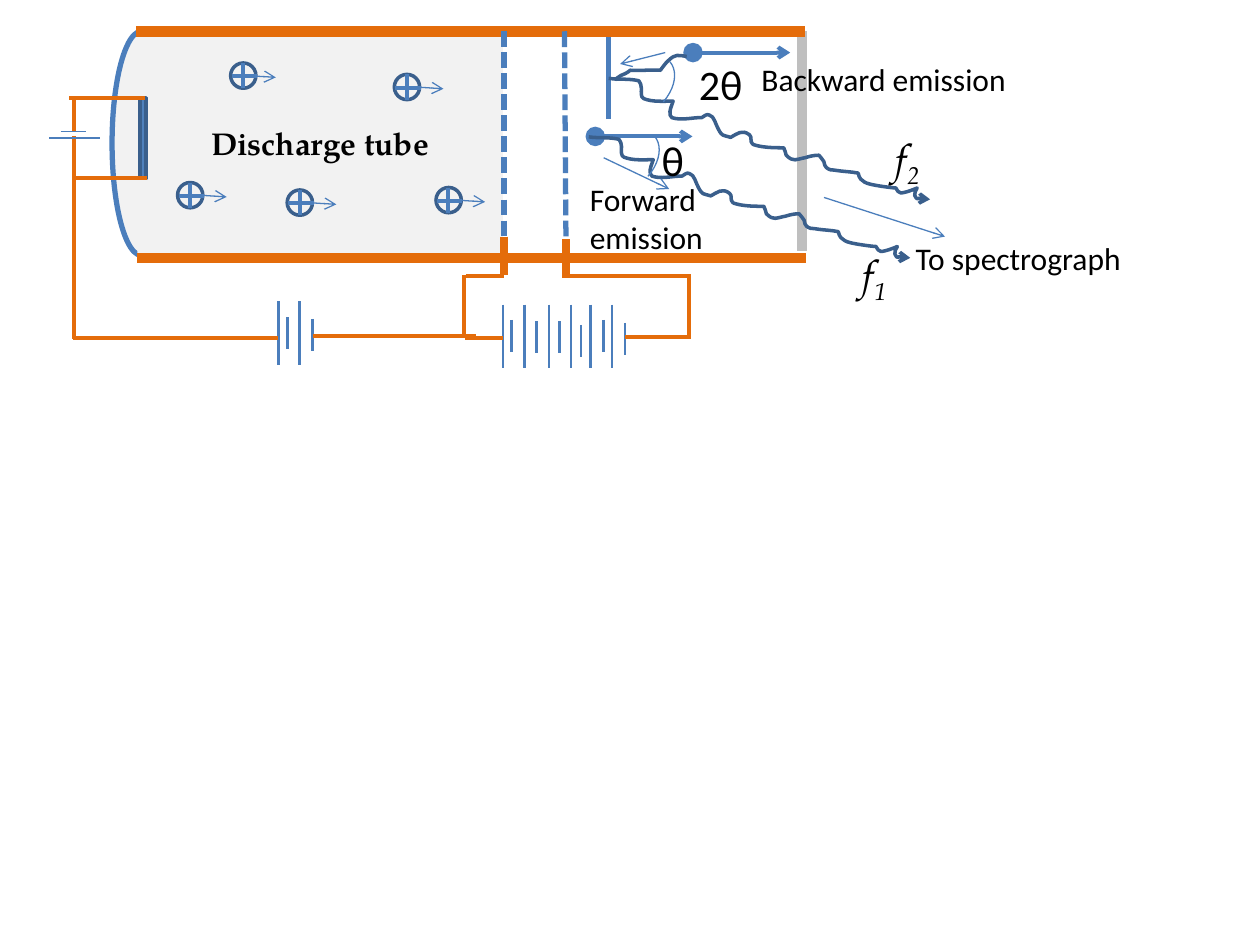
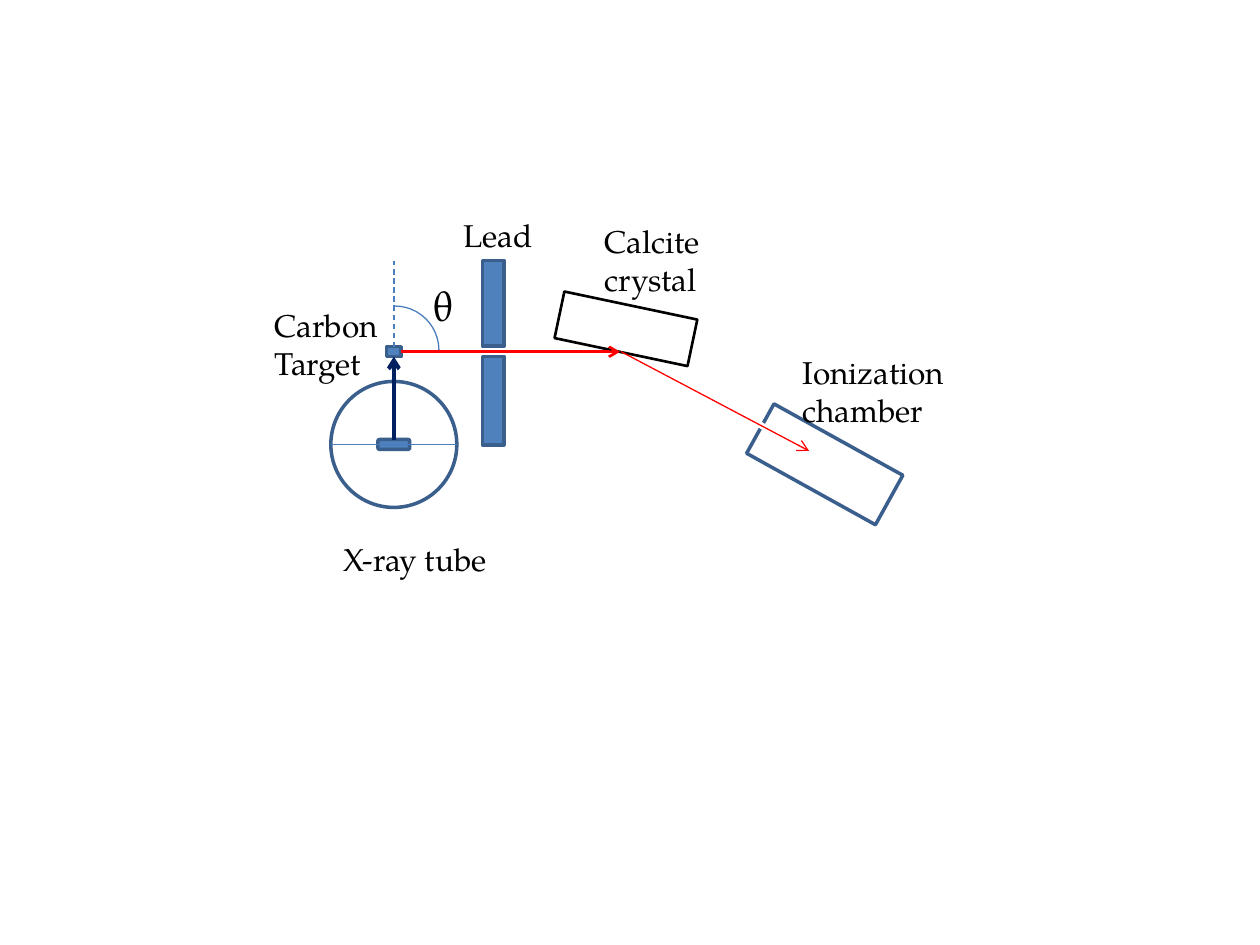
from dataclasses import dataclass
from typing import Any

from lxml.etree import SubElement
from pptx import Presentation
from pptx.dml.color import RGBColor
from pptx.enum.dml import MSO_LINE
from pptx.enum.shapes import MSO_CONNECTOR, MSO_SHAPE
from pptx.enum.text import MSO_ANCHOR, MSO_AUTO_SIZE, PP_ALIGN
from pptx.oxml.ns import qn
from pptx.util import Cm, Pt

BLUE = "4B7EBC"
FILL_BLUE = "4F81BD"
DARK_BLUE = "3A5F8C"
NAVY = "002060"
ORANGE = "E46C0A"
RED = "FF0000"
BLACK = "000000"
WHITE = "FFFFFF"
GAS_GREY = "F2F2F2"
WINDOW_GREY = "BFBFBF"
SANS = "Calibri"
SERIF = "TeX Gyre Pagella"

# Bezier points in cm from the start: two controls and an end for each segment
LONG_WAVE = [
    (0.2, 0.03), (0.41, 0), (0.61, 0.05), (0.66, 0.08), (0.64, 0.15), (0.66, 0.2),
    (0.66, 0.28), (0.64, 0.38), (0.71, 0.41), (0.89, 0.48), (1.09, 0.46), (1.3, 0.46),
    (1.27, 0.56), (1.22, 0.64), (1.24, 0.74), (1.24, 0.79), (1.3, 0.81), (1.35, 0.81),
    (1.52, 0.84), (1.7, 0.79), (1.88, 0.79), (1.93, 0.76), (1.98, 0.71), (2.03, 0.74),
    (2.13, 0.76), (2.16, 0.94), (2.21, 1.02), (2.29, 1.17), (2.29, 1.14), (2.46, 1.19),
    (2.59, 1.12), (2.69, 1.02), (2.84, 1.14), (2.9, 1.19), (2.84, 1.27), (2.9, 1.32),
    (2.92, 1.35), (3, 1.35), (3.05, 1.37), (3.23, 1.4), (3.38, 1.4), (3.53, 1.4),
    (3.56, 1.45), (3.56, 1.5), (3.58, 1.55), (3.73, 1.7), (3.78, 1.63), (3.96, 1.6),
    (4.06, 1.57), (4.14, 1.55), (4.24, 1.55), (4.27, 1.6), (4.32, 1.63), (4.34, 1.68),
    (4.37, 1.73), (4.34, 1.78), (4.39, 1.8), (4.45, 1.85), (4.5, 1.85), (4.55, 1.85),
    (4.72, 1.88), (4.88, 1.88), (5.03, 1.91), (5.05, 1.96), (5.05, 2.01), (5.08, 2.03),
    (5.13, 2.08), (5.18, 2.11), (5.26, 2.13), (5.36, 2.16), (5.72, 2.21), (5.79, 2.21),
    (5.82, 2.26), (5.84, 2.31), (5.89, 2.31), (5.99, 2.31), (6.22, 2.21), (6.22, 2.21),
    (6.2, 2.26), (6.15, 2.31), (6.17, 2.36), (6.22, 2.46), (6.38, 2.44), (6.48, 2.44),
]
SHORT_WAVE = [
    (-0.16, -0.08), (-0.2, -0.12), (-0.37, -0.04), (-0.45, -0.01), (-0.59, 0.1), (-0.59, 0.1),
    (-0.88, 0), (-0.74, 0.05), (-1.06, -0.05), (-1.1, -0.06), (-1.13, -0.08), (-1.17, -0.09),
    (-1.23, -0.06), (-1.32, -0.05), (-1.37, -0.05), (-1.55, 0), (-1.52, -0.01), (-1.47, 0),
]


def rgb(colour):
    return RGBColor.from_string(colour)


def set_line(shape, colour, width, dash=None, head=None, tail=None):
    shape.line.color.rgb = rgb(colour)
    shape.line.width = Pt(width)
    if dash:
        shape.line.dash_style = dash
    outline = shape._element.spPr.find(qn("a:ln"))
    if head:
        SubElement(outline, qn("a:headEnd"), type=head, w="lg", len="lg")
    if tail:
        SubElement(outline, qn("a:tailEnd"), type=tail)


def curve_segments(freeform):
    """Turn each three straight segments of the outline into one Bezier curve."""
    outline = next(freeform._element.iter(qn("a:path")))
    segments = outline.findall(qn("a:lnTo"))
    for index in range(0, len(segments), 3):
        curve = SubElement(outline, qn("a:cubicBezTo"))
        for segment in segments[index:index + 3]:
            curve.append(segment[0])
            outline.remove(segment)


@dataclass
class Region:
    """A part of a slide; its methods take cm from its top left corner."""
    shapes: Any
    left: float
    top: float

    def at(self, x, y):
        return Cm(self.left + x), Cm(self.top + y)

    def group(self, x, y):
        return Region(self.shapes.add_group_shape().shapes, self.left + x, self.top + y)

    def line(self, x1, y1, x2, y2, colour=BLUE, width=0.75, begin=None, end=None, **style):
        connector = self.shapes.add_connector(
            MSO_CONNECTOR.STRAIGHT, *self.at(x1, y1), *self.at(x2, y2))
        if begin:
            connector.begin_connect(*begin)
        if end:
            connector.end_connect(*end)
        set_line(connector, colour, width, **style)
        SubElement(connector._element.spPr, qn("a:effectLst"))

    def shape(self, kind, x, y, width, height, fill=None, colour=DARK_BLUE, line_width=2,
              rotation=0, adjustments=()):
        shape = self.shapes.add_shape(kind, *self.at(x, y), Cm(width), Cm(height))
        shape.shadow.inherit = False
        shape.rotation = rotation
        for index, value in enumerate(adjustments):
            shape.adjustments[index] = value
        if fill:
            shape.fill.solid()
            shape.fill.fore_color.rgb = rgb(fill)
        else:
            shape.fill.background()
        if colour:
            set_line(shape, colour, line_width)
        else:
            shape.line.fill.background()
        return shape

    def wave(self, x, y, points, rotation=0, **style):
        builder = self.shapes.build_freeform(*self.at(x, y))
        builder.add_line_segments([self.at(x + dx, y + dy) for dx, dy in points], close=False)
        shape = builder.convert_to_shape()
        curve_segments(shape)
        shape.rotation = rotation
        shape.shadow.inherit = False
        shape.fill.background()
        set_line(shape, DARK_BLUE, 2, **style)

    def text(self, text, x, y, width, height=1.02, wrap=False, subscript=None, **style):
        box = self.shapes.add_textbox(*self.at(x, y), Cm(width), Cm(height))
        frame = box.text_frame
        frame.word_wrap = wrap
        frame.auto_size = MSO_AUTO_SIZE.SHAPE_TO_FIT_TEXT
        for index, content in enumerate(text.split("\n")):
            paragraph = frame.paragraphs[0] if index == 0 else frame.add_paragraph()
            add_run(paragraph, content, **style)
        if subscript:
            run = add_run(paragraph, subscript, **style)
            run.font._element.set("baseline", "-25000")


def add_run(paragraph, text, size=18, font=SANS, bold=None, italic=None):
    run = paragraph.add_run()
    run.text = text
    run.font.size = Pt(size)
    run.font.name = font
    run.font.bold = bold
    run.font.italic = italic
    run.font.color.rgb = rgb(BLACK)
    return run


def ion(tube, x, y, arrow_start=0.51):
    symbol = tube.group(x, y)
    symbol.shape(MSO_SHAPE.OVAL, 0, 0, 0.51, 0.51)
    symbol.line(0.25, 0, 0.25, 0.51, width=2.25)
    symbol.line(0.02, 0.27, 0.53, 0.27, width=2.25)
    tube.line(x + arrow_start, y + 0.26, x + arrow_start + 0.48, y + 0.29, tail="arrow")


def discharge_tube(shapes, left, top):
    tube = Region(shapes, left, top)
    end_cap = tube.shape(MSO_SHAPE.ARC, -0.51, 0, 1.19, 4.52, GAS_GREY, BLUE, 3,
                         adjustments=(162, 57.07))
    end_cap._element.spPr.find(qn("a:xfrm")).set("flipH", "1")
    tube.line(13.4, 0, 13.4, 4.42, WINDOW_GREY, 6)
    gas = tube.shape(MSO_SHAPE.RECTANGLE, 0, 0, 7.37, 4.52, GAS_GREY, None)
    gas.text_frame.vertical_anchor = MSO_ANCHOR.MIDDLE
    paragraph = gas.text_frame.paragraphs[0]
    paragraph.alignment = PP_ALIGN.CENTER
    add_run(paragraph, "Discharge tube", font=SERIF, bold=True)
    tube.line(9.5, 1.77, 9.5, 0, width=3)
    tube.line(13.47, 4.57, 0, 4.57, ORANGE, 6)
    tube.line(13.46, 0, -0.02, 0, ORANGE, 6)
    for grid_top, grid_bottom, length, terminal_top in (
            (7.39, 7.39, 4.57, 4.14), (8.61, 8.64, 4.34, 4.19)):
        tube.line(grid_top, 0, grid_bottom, length, width=3, dash=MSO_LINE.SQUARE_DOT)
        tube.line(grid_bottom, terminal_top, grid_bottom, terminal_top + 0.78, ORANGE, 4.5)
    for x, y in ((0.81, 3.05), (6.02, 3.15), (5.18, 0.87), (3.02, 3.2)):
        ion(tube, x, y)
    ion(tube, 1.88, 0.64, arrow_start=0.43)


def wires(region, ends):
    for x1, y1, x2, y2 in ends:
        region.line(x1, y1, x2, y2, ORANGE, 2.25)


def cathode_heater(shapes, left, top):
    heater = Region(shapes, left, top)
    heater.shape(MSO_SHAPE.RECTANGLE, 1.83, 0, 0.13, 1.63, FILL_BLUE)
    wires(heater, [(1.93, 0, 0.41, 0), (1.98, 1.62, 0.46, 1.62),
                   (0.51, 0.05, 0.51, 0.68), (0.51, 0.78, 0.51, 1.55)])
    heater.line(0, 0.81, 1.02, 0.81)
    heater.line(0.23, 0.68, 0.74, 0.68)


def battery(circuit, long_plates, long_top, short_plates):
    for x in long_plates:
        circuit.line(x, long_top, x, long_top + 1.28, width=1.5)
    for x, y in short_plates:
        circuit.line(x, y, x, y + 0.64, width=1.5)


def accelerating_circuit(shapes, left, top):
    circuit = Region(shapes, left, top)
    battery(circuit, (4.14, 4.57), 0.53, ((4.32, 0.86), (4.83, 0.89)))
    battery(circuit, (8.67, 9.1, 9.6, 10.04, 10.44, 10.87), 0.6,
            ((8.84, 0.91), (9.35, 0.94), (9.81, 0.94), (10.24, 1.01), (10.7, 0.91), (11.13, 0.97)))
    wires(circuit, [
        (0.03, 1.29, 0.03, -2.01), (0, 1.27, 4.14, 1.27), (4.83, 1.24, 8.13, 1.24),
        (7.9, 1.27, 8.66, 1.27), (7.89, 0, 7.89, 1.27), (7.93, 0.02, 8.69, 0.02),
        (12.45, 0.02, 9.91, 0.02), (12.42, 0, 12.42, 1.27), (11.13, 1.26, 12.45, 1.26),
    ])


def emission(shapes, left, top, wave, arc, direction, angle, angle_at, caption, caption_box,
             subscript, frequency_at):
    """Draw a moving emitter, its wave and its labels, placed from the emitter."""
    emitter = Region(shapes, left, top)
    emitter.line(0, 0, 1.96, 0, width=2.25, head="oval", tail="arrow")
    emitter.wave(*wave, LONG_WAVE, tail="arrow")
    emitter.shape(MSO_SHAPE.ARC, *arc, 1.09, 1.63, None, BLUE, 0.75, 49.7, (162, 204.16))
    emitter.line(*direction, tail="arrow")
    emitter.text(angle, *angle_at, 0.55 + 0.42 * len(angle), 1.27, size=24)
    emitter.text(caption, *caption_box)
    emitter.text("f", *frequency_at, 1.04, 1.27, subscript=subscript, size=24, font=SERIF,
                 italic=True)
    return emitter


def spectrograph(shapes, left, top):
    exit_path = Region(shapes, left, top)
    exit_path.line(0, 0, 2.44, 0.79, tail="arrow")
    exit_path.text("To spectrograph", 1.6, 0.71, 4.88, wrap=True)


def doppler_slide(slide):
    shapes = slide.shapes
    discharge_tube(shapes, 2.77, 0.63)
    cathode_heater(shapes, 0.99, 1.97)
    accelerating_circuit(shapes, 1.47, 5.54)
    backward = emission(
        shapes, 13.97, 1.06, wave=(-1.7, 0.52), arc=(-1.63, -0.1),
        direction=(-0.56, 0, -1.47, 0.23), angle="2θ", angle_at=(-0.13, 0),
        caption="Backward emission", caption_box=(1.13, 0.03, 5.49),
        subscript="2", frequency_at=(3.84, 1.48))
    backward.wave(-0.09, 0.32, SHORT_WAVE, rotation=341.9)
    emission(
        shapes, 12, 2.75, wave=(-0.13, 0.01), arc=(0.03, -0.29),
        direction=(0.17, 0.43, 1.49, 1.06), angle="θ", angle_at=(1.09, -0.17),
        caption="Forward\nemission", caption_box=(-0.36, 0.75, 2.82, 1.8),
        subscript="1", frequency_at=(5.14, 2.13))
    spectrograph(shapes, 16.61, 3.98)


def xray_tube(shapes, left, top):
    """Draw the tube with the carbon target above it, and return the target."""
    tube = Region(shapes, left, top)
    tube.shape(MSO_SHAPE.OVAL, 0, 0, 2.54, 2.54)
    anode = tube.shape(MSO_SHAPE.ROUNDED_RECTANGLE, 0.95, 1.17, 0.64, 0.2, FILL_BLUE)
    target = tube.shape(MSO_SHAPE.RECTANGLE, 1.12, -0.7, 0.3, 0.2, FILL_BLUE)
    tube.line(1.27, 1.17, 1.27, -0.5, NAVY, 2.25, begin=(anode, 0), end=(target, 2), tail="arrow")
    tube.line(1.27, -0.7, 1.27, -2.43, begin=(target, 0), dash=MSO_LINE.DASH)
    tube.shape(MSO_SHAPE.ARC, 0.4, -1.52, 1.78, 1.78, None, BLUE, 0.75)
    tube.text("X-ray tube", 0, 3.08, 3.51, font=SERIF)
    tube.text("Carbon Target", -1.39, -1.65, 2.97, 1.8, wrap=True, font=SERIF)
    tube.text("θ", 1.79, -2.18, 0.94, 1.27, size=24, font=SERIF)
    tube.line(0, 1.27, 2.54, 1.27)
    return target


def lead_slit(shapes, left, top):
    lead = Region(shapes, left, top)
    for y, height in ((0, 1.73), (1.94, 1.78)):
        lead.shape(MSO_SHAPE.RECTANGLE, 0, y, 0.43, height, FILL_BLUE)
    lead.text("Lead", -0.64, -1.01, 1.93, font=SERIF)


def calcite_crystal(shapes, left, top, target):
    crystal = Region(shapes, left, top)
    crystal.shape(MSO_SHAPE.RECTANGLE, 0, 0, 2.74, 0.96, None, BLACK, 1.5, 11.9)
    crystal.line(-3.12, 0.94, 1.25, 0.94, RED, 1.5, begin=(target, 3), tail="arrow")
    crystal.text("Calcite crystal", 0.68, -1.8, 2.97, 1.8, wrap=True, font=SERIF)


def ionization_chamber(shapes, left, top):
    chamber = Region(shapes, left, top)
    chamber.shape(MSO_SHAPE.RECTANGLE, 0, 0, 2.97, 1.14, rotation=29)
    chamber.shape(MSO_SHAPE.ROUNDED_RECTANGLE, -0.18, -0.2, 1.02, 0.13, WHITE, None, rotation=32.2)
    chamber.line(-2.62, -1.7, 1.17, 0.3, RED, tail="arrow")
    chamber.text("Ionization chamber", 0.79, -1.8, 3.81, 1.8, wrap=True, font=SERIF)


def compton_slide(slide):
    target = xray_tube(slide.shapes, 6.67, 7.69)
    calcite_crystal(slide.shapes, 11.25, 6.15, target)
    ionization_chamber(slide.shapes, 15.14, 8.79)
    lead_slit(slide.shapes, 9.73, 5.25)


def main():
    presentation = Presentation()
    presentation.slide_width = Cm(25.4)
    presentation.slide_height = Cm(19.05)
    blank_layout = presentation.slide_layouts[6]
    for build_slide in (doppler_slide, compton_slide):
        build_slide(presentation.slides.add_slide(blank_layout))
    presentation.save("out.pptx")


if __name__ == "__main__":
    main()
